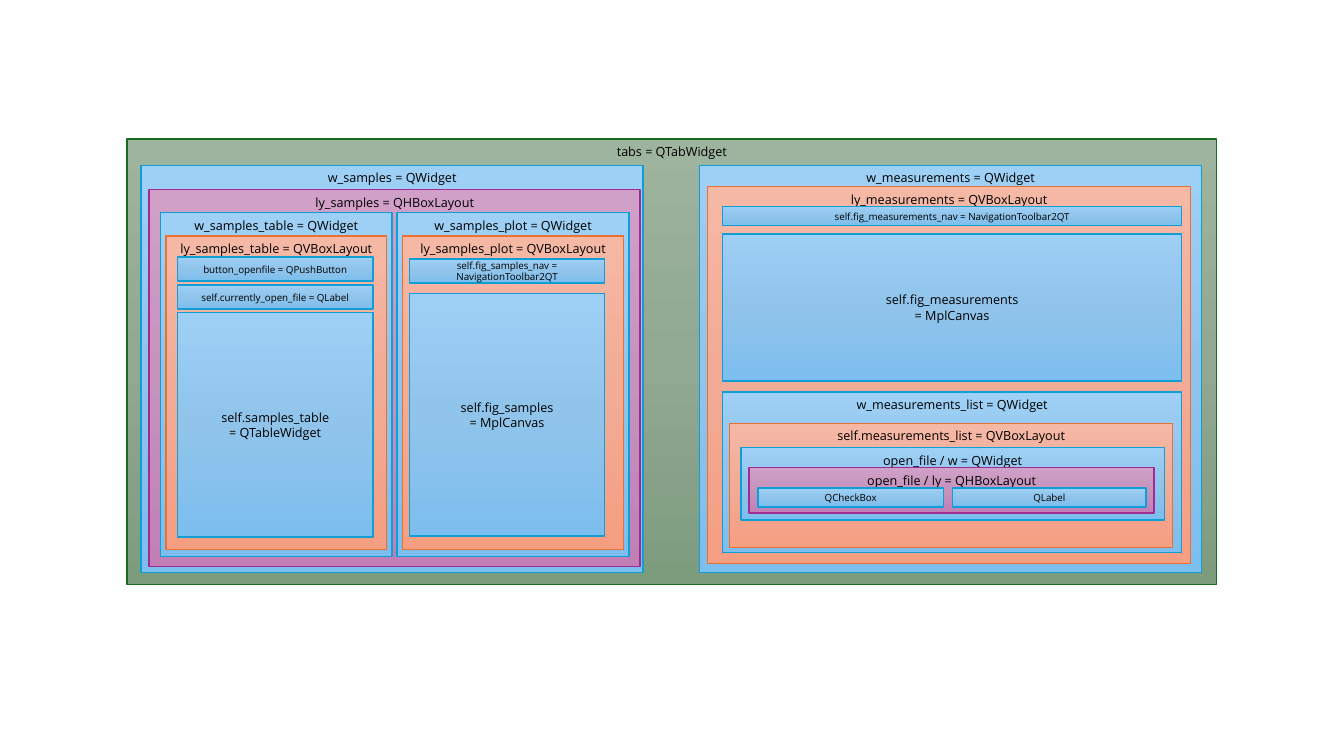
from copy import deepcopy

from pptx import Presentation
from pptx.dml.color import RGBColor
from pptx.enum.shapes import MSO_SHAPE
from pptx.enum.text import MSO_ANCHOR, PP_ALIGN
from pptx.oxml.ns import qn
from pptx.util import Inches, Pt

RECTANGLE = MSO_SHAPE.RECTANGLE
TOP, MIDDLE = MSO_ANCHOR.TOP, MSO_ANCHOR.MIDDLE
CENTER = PP_ALIGN.CENTER

SLIDE_WIDTH, SLIDE_HEIGHT = Inches(13.333), Inches(7.5)
FONT = "Open Sans"
TITLE_SIZE, SMALL_SIZE = 9, 7
BLANK_LAYOUT = 6

COLORS = {
    "text": "000000",
    "tabs": ("9EB49F", "91A892", "7D9C7E"),
    "tabs line": "196B24",
    "widget": ("9ECFF5", "90C4EB", "7CBEED"),
    "widget line": "0F9ED5",
    "horizontal": ("D0A0C8", "C693BD", "C17FB6"),
    "horizontal line": "A02B93",
    "vertical": ("F5B8A5", "F2AB96", "F59E82"),
    "vertical line": "E97132",
}


def fill_gradient(shape, colors):
    """Fill from top to bottom with three evenly spaced colours."""
    fill = shape.fill
    fill.gradient()
    fill.gradient_angle = 270
    stop_list = shape._element.spPr.find(qn("a:gradFill")).find(qn("a:gsLst"))
    stop_list.insert(1, deepcopy(stop_list[0]))
    for index, (stop, color) in enumerate(zip(fill.gradient_stops, colors)):
        stop.position = index / 2
        stop.color.rgb = RGBColor.from_string(color)


def add_box(slide, kind, text, box, size=TITLE_SIZE, anchor=TOP):
    """Add a labelled box; box is left, top, width, height in percent of the slide."""
    left, top, width, height = box
    shape = slide.shapes.add_shape(
        RECTANGLE,
        int(SLIDE_WIDTH * left / 100), int(SLIDE_HEIGHT * top / 100),
        int(SLIDE_WIDTH * width / 100), int(SLIDE_HEIGHT * height / 100))
    shape.shadow.inherit = False
    fill_gradient(shape, COLORS[kind])
    shape.line.color.rgb = RGBColor.from_string(COLORS[kind + " line"])
    shape.line.width = Pt(1)

    text_frame = shape.text_frame
    text_frame.text = text
    text_frame.word_wrap = True
    text_frame.vertical_anchor = anchor
    for paragraph in text_frame.paragraphs:
        paragraph.alignment = CENTER
        for run in paragraph.runs:
            run.font.name = FONT
            run.font.size = Pt(size)
            run.font.color.rgb = RGBColor.from_string(COLORS["text"])


def add_content(slide, text, box):
    add_box(slide, "widget", text, box, anchor=MIDDLE)


def add_bar(slide, text, box):
    add_box(slide, "widget", text, box, SMALL_SIZE, MIDDLE)


def add_tab_page(slide, name, left):
    add_box(slide, "widget", f"{name} = QWidget", (left, 21.87, 37.35, 53.87))


def add_samples_panel(slide, name, left):
    """Add a widget with the vertical layout that it holds."""
    add_box(slide, "widget", f"w_{name} = QWidget", (left, 28.13, 17.25, 45.47))
    add_box(slide, "vertical", f"ly_{name} = QVBoxLayout",
            (left + 0.41, 31.2, 16.43, 41.47))


def add_samples_page(slide):
    add_tab_page(slide, "w_samples", 10.5)
    add_box(slide, "horizontal", "ly_samples = QHBoxLayout",
            (11.1, 25.07, 36.53, 49.87))

    left, width, bar_height = 13.2, 14.55, 3.2
    add_samples_panel(slide, "samples_table", 11.93)
    bars = ("button_openfile = QPushButton", "self.currently_open_file = QLabel")
    for row, text in enumerate(bars):
        add_bar(slide, text, (left, 34 + 3.7 * row, width, bar_height))
    add_content(slide, "self.samples_table\n= QTableWidget",
                (left, 41.33, width, 29.73))

    left = 30.45
    add_samples_panel(slide, "samples_plot", 29.55)
    add_bar(slide, "self.fig_samples_nav = NavigationToolbar2QT",
            (left, 34.27, width, bar_height))
    add_content(slide, "self.fig_samples\n= MplCanvas", (left, 38.8, width, 32.13))


def add_measurements_page(slide):
    add_tab_page(slide, "w_measurements", 52.05)
    add_box(slide, "vertical", "ly_measurements = QVBoxLayout",
            (52.65, 24.67, 35.93, 49.87))

    left, width, bar_height = 53.78, 34.13, 2.53
    add_bar(slide, "self.fig_measurements_nav = NavigationToolbar2QT",
            (left, 27.33, width, bar_height))
    add_content(slide, "self.fig_measurements\n= MplCanvas",
                (left, 30.93, width, 19.47))

    nested_boxes = (
        ("widget", "w_measurements_list = QWidget", (left, 51.87, width, 21.2)),
        ("vertical", "self.measurements_list = QVBoxLayout", (54.3, 56, 32.93, 16.4)),
        ("widget", "open_file / w = QWidget", (55.13, 59.2, 31.5, 9.6)),
        ("horizontal", "open_file / ly = QHBoxLayout", (55.73, 61.87, 30.15, 6)),
    )
    for kind, text, box in nested_boxes:
        add_box(slide, kind, text, box)
    add_bar(slide, "QCheckBox", (56.4, 64.53, 13.8, bar_height))
    add_bar(slide, "QLabel", (70.88, 64.53, 14.4, bar_height))


def main():
    presentation = Presentation()
    presentation.slide_width = SLIDE_WIDTH
    presentation.slide_height = SLIDE_HEIGHT
    slide = presentation.slides.add_slide(presentation.slide_layouts[BLANK_LAYOUT])

    add_box(slide, "tabs", "tabs = QTabWidget", (9.45, 18.4, 81.08, 58.93))
    add_samples_page(slide)
    add_measurements_page(slide)

    presentation.save("out.pptx")


if __name__ == "__main__":
    main()
